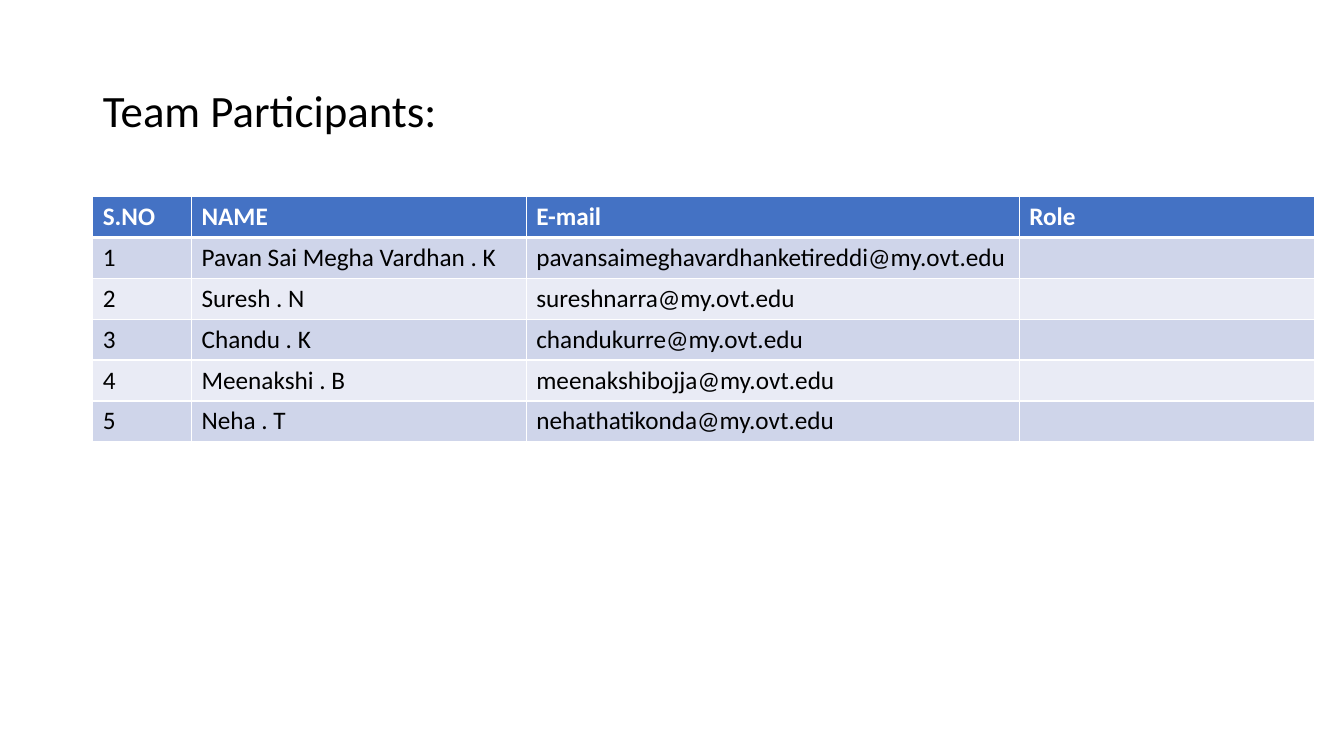
from dataclasses import dataclass

from lxml import etree
from pptx import Presentation
from pptx.dml.color import RGBColor
from pptx.enum import text
from pptx.oxml import ns
from pptx.util import Inches, Pt

FONT = "Calibri"
WHITE, BLACK = "FFFFFF", "000000"
HEADER_FILL = "4472C4"
BAND_FILLS = ("CFD5EA", "E9EBF5")
HEADINGS = ("S.NO", "NAME", "E-mail", "Role")
COLUMN_WIDTHS = (0.98, 3.32, 4.89, 2.93)
ROW_HEIGHT = 0.4
TABLE_LEFT, TABLE_TOP = 0.92, 1.95


@dataclass(frozen=True)
class Participant:
    name: str
    mailbox: str
    role: str = ""


PARTICIPANTS = (
    Participant("Pavan Sai Megha Vardhan . K", "pavansaimeghavardhanketireddi"),
    Participant("Suresh . N", "sureshnarra"),
    Participant("Chandu . K", "chandukurre"),
    Participant("Meenakshi . B", "meenakshibojja"),
    Participant("Neha . T", "nehathatikonda"),
)


def color(hex_value: str) -> RGBColor:
    return RGBColor.from_string(hex_value)


def format_font(font, hex_value: str, **values) -> None:
    for name, value in {"name": FONT, **values}.items():
        setattr(font, name, value)
    font.color.rgb = color(hex_value)


def set_borders(cell, widths: dict[str, float]) -> None:
    """Draw white cell borders; lines must precede the fill in the cell's XML."""
    properties = cell._tc.get_or_add_tcPr()
    for index, (side, width) in enumerate(widths.items()):
        line = etree.Element(ns.qn(f"a:ln{side}"), w=str(Pt(width)))
        fill = etree.SubElement(line, ns.qn("a:solidFill"))
        etree.SubElement(fill, ns.qn("a:srgbClr"), val=WHITE)
        properties.insert(index, line)


def add_title(slide, wording: str) -> None:
    title = slide.shapes.title
    box = {"left": 0.92, "top": 0.4, "width": 11.5, "height": 1.45}
    for name, value in box.items():
        setattr(title, name, Inches(value))
    title.text_frame.vertical_anchor = text.MSO_ANCHOR.MIDDLE
    paragraph = title.text_frame.paragraphs[0]
    paragraph.text = wording
    paragraph.alignment = text.PP_ALIGN.LEFT
    paragraph.line_spacing = 0.9
    format_font(paragraph.runs[0].font, BLACK, size=Pt(32), bold=False)


def fill_cell(cell, wording: str, is_header: bool, fill: str) -> None:
    cell.fill.solid()
    cell.fill.fore_color.rgb = color(fill)
    set_borders(cell, {"L": 1, "R": 1, "T": 1, "B": 3 if is_header else 1})
    paragraph = cell.text_frame.paragraphs[0]
    paragraph.text = wording
    format_font(paragraph.font, WHITE if is_header else BLACK,
                size=Pt(18), bold=is_header)
    for run in paragraph.runs:
        format_font(run.font, WHITE if is_header else BLACK,
                    size=Pt(18), bold=is_header)


def add_participant_table(slide) -> None:
    rows = [HEADINGS] + [
        (str(number), person.name, f"{person.mailbox}@my.ovt.edu", person.role)
        for number, person in enumerate(PARTICIPANTS, start=1)
    ]
    table = slide.shapes.add_table(
        len(rows), len(HEADINGS), Inches(TABLE_LEFT), Inches(TABLE_TOP),
        Inches(sum(COLUMN_WIDTHS)), Inches(ROW_HEIGHT * len(rows)),
    ).table
    for column, width in zip(table.columns, COLUMN_WIDTHS):
        column.width = Inches(width)
    for row_index, wordings in enumerate(rows):
        is_header = row_index == 0
        fill = HEADER_FILL if is_header else BAND_FILLS[(row_index - 1) % 2]
        for column_index, wording in enumerate(wordings):
            fill_cell(table.cell(row_index, column_index), wording, is_header, fill)


def main() -> None:
    presentation = Presentation()
    presentation.slide_width = Inches(13.33)
    presentation.slide_height = Inches(7.5)
    slide = presentation.slides.add_slide(presentation.slide_layouts[5])
    add_title(slide, "Team Participants:")
    add_participant_table(slide)
    presentation.save("out.pptx")


if __name__ == "__main__":
    main()
